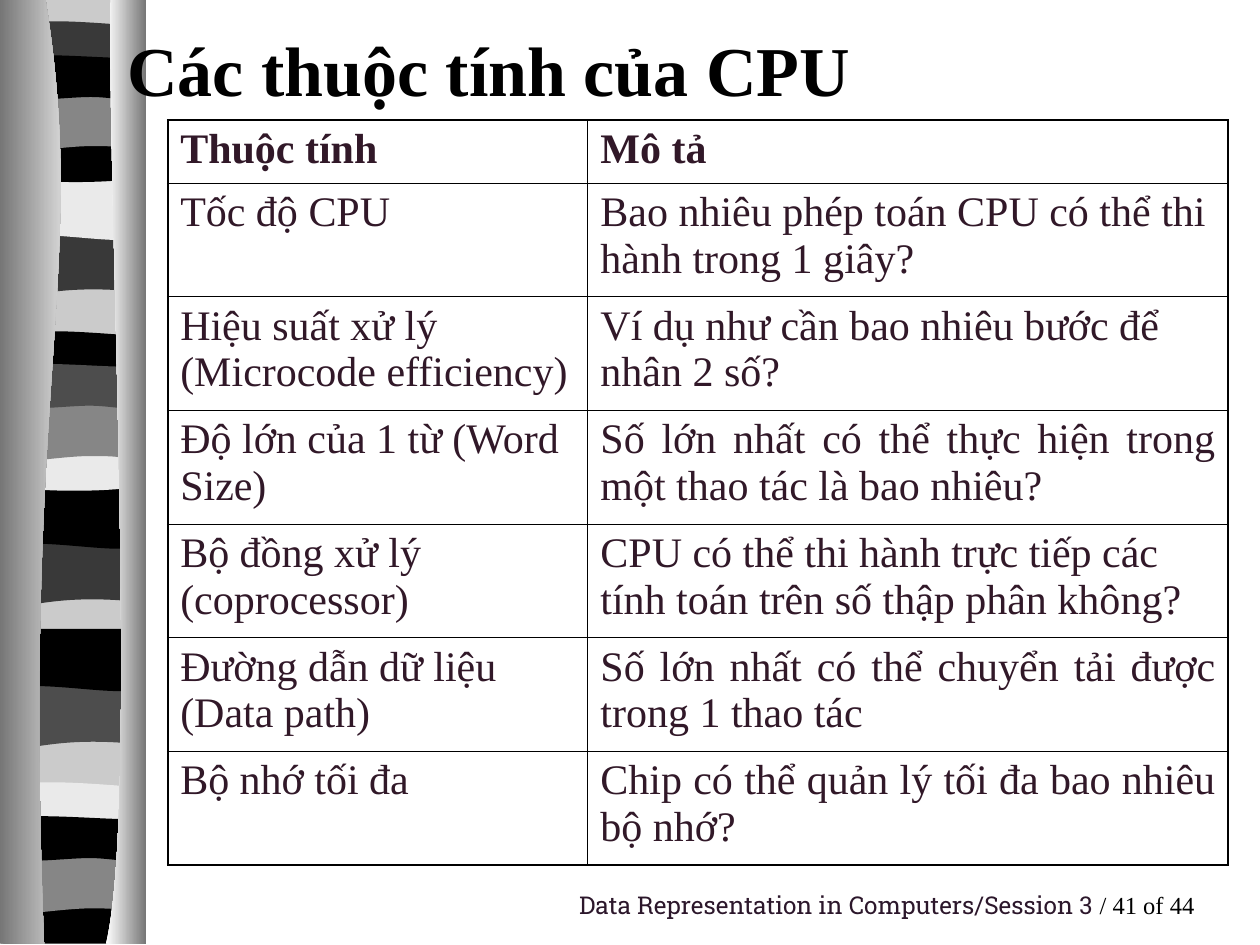
from lxml.etree import SubElement
from pptx import Presentation
from pptx.dml.color import RGBColor
from pptx.enum.text import MSO_ANCHOR as Anchor, PP_ALIGN as Align
from pptx.oxml.ns import qn
from pptx.util import Cm, Pt

SERIF = "Times New Roman"
SLAB = "Roboto Slab"
BLACK = "000000"
TABLE_INK = "311828"

BAND_OUTLINES = {
    "wave": [(108, 0), (108, 47), (33, 39, 18, 55, 0, 47), (0, 0)],
    "swell": [(108, 0), (108, 47), (90, 55, 33, 41, 0, 47), (0, 0)],
    "ribbon": [(108, 5), (108, 29), (90, 33, 18, 33, 0, 29), (0, 5),
               (6, 0, 23, 1, 41, 1), (59, 1, 94, 4, 108, 5)],
    "bowl": [(108, 0), (108, 32), (90, 38, 18, 38, 0, 32), (0, 0),
             (66, 5, 85, 0, 108, 0)],
    "arch": [(108, 0), (108, 47), (91, 42, 84, 42, 66, 42),
             (48, 42, 16, 47, 0, 47), (0, 0)],
    "drape": [(108, 5), (108, 36), (101, 41, 84, 36, 66, 36),
              (48, 36, 11, 41, 0, 36), (0, 5), (15, 0, 73, 5, 91, 5),
              (109, 5, 104, 5, 108, 5)],
    "base": [(108, 0), (108, 37), (0, 37), (0, 0), (66, 5, 85, 0, 108, 0)],
    "column": [(108, 0), (108, 748), (0, 748), (0, 0)],
}

BANDS = [
    ("column", 6, -1, "CBCBCB"),
    ("wave", 6, 185, "393939"), ("swell", 6, 141, "EAEAEA"),
    ("ribbon", 6, 16, "393939"), ("bowl", 6, 108, BLACK),
    ("arch", 6, 74, "868686"), ("drape", 6, 41, BLACK),
    ("wave", 5, 431, "393939"), ("swell", 5, 386, BLACK),
    ("ribbon", 5, 262, BLACK), ("bowl", 5, 353, "EAEAEA"),
    ("arch", 5, 320, "868686"), ("drape", 5, 286, "4D4D4D"),
    ("wave", 6, 544, "4D4D4D"), ("swell", 6, 499, BLACK),
    ("ribbon", 5, 620, "EAEAEA"), ("base", 5, 712, BLACK),
    ("arch", 5, 679, "868686"), ("drape", 5, 645, BLACK),
]

LEFT_POST = [(36, 0), (71, 217, 17, 297, 35, 750), (0, 750), (0, 0)]
RIGHT_POST = [(88, 0), (84, 126, 111, 647, 84, 750), (116, 750), (116, 0)]

ROWS = [
    ("Thuộc tính", "Mô tả"),
    ("Tốc độ CPU", "Bao nhiêu phép toán CPU có thể thi hành trong 1 giây?"),
    ("Hiệu suất xử lý (Microcode efficiency)",
     "Ví dụ như cần bao nhiêu bước để nhân 2 số?"),
    ("Độ lớn của 1 từ (Word Size)",
     "Số lớn nhất có thể thực hiện trong một thao tác là bao nhiêu?"),
    ("Bộ đồng xử lý (coprocessor)",
     "CPU có thể thi hành trực tiếp các tính toán trên số thập phân không?"),
    ("Đường dẫn dữ liệu (Data path)",
     "Số lớn nhất có thể chuyển tải được trong 1 thao tác"),
    ("Bộ nhớ tối đa", "Chip có thể quản lý tối đa bao nhiêu bộ nhớ?"),
]
JUSTIFIED = {(0, 0), (0, 1), (3, 1), (5, 1), (6, 1)}


def color(value):
    """Turn a hex string into a colour."""
    return RGBColor.from_string(value)


def grid(count):
    """Turn hundredths of an inch into a length."""
    return Cm(count * 0.0254)


def bend_curves(shape, segments):
    """Join the three points of each curved segment into one cubic curve."""
    lines = iter(shape._element.findall(f".//{qn('a:lnTo')}"))
    for segment in segments:
        first = next(lines)
        if len(segment) == 6:
            curve = first.makeelement(qn("a:cubicBezTo"))
            first.addprevious(curve)
            for line in (first, next(lines), next(lines)):
                curve.append(line[0])
                line.getparent().remove(line)


def add_outline(slide, outline, left, top):
    """Add a closed shape without a line from corners and curves."""
    places = [(grid(left + segment[i]), grid(top + segment[i + 1]))
              for segment in outline for i in range(0, len(segment), 2)]
    builder = slide.shapes.build_freeform(*places[0])
    builder.add_line_segments(places[1:], close=True)
    shape = builder.convert_to_shape()
    bend_curves(shape, outline[1:])
    shape.shadow.inherit = False
    shape.line.fill.background()
    return shape


def add_band(slide, kind, left, top, fill):
    """Add one plain band of the column."""
    shape = add_outline(slide, BAND_OUTLINES[kind], left, top)
    shape.fill.solid()
    shape.fill.fore_color.rgb = color(fill)


def add_post(slide, outline, start, end):
    """Add a post shaded from left to right."""
    fill = add_outline(slide, outline, 0, -1).fill
    fill.gradient()
    fill.gradient_angle = 0
    for stop, value in zip(fill.gradient_stops, (start, end)):
        stop.color.rgb = color(value)


def add_run(paragraph, text, font, size, ink, bold=False):
    """Add one formatted run."""
    run = paragraph.add_run()
    run.text = text
    run.font.name = font
    run.font.size = Pt(size)
    run.font.bold = bold
    run.font.color.rgb = color(ink)


def add_text_box(slide, left, top, width, height, anchor, align):
    """Add a wrapped text box and return its paragraph."""
    frame = slide.shapes.add_textbox(Cm(left), Cm(top), Cm(width), Cm(height)).text_frame
    frame.word_wrap = True
    frame.vertical_anchor = anchor
    paragraph = frame.paragraphs[0]
    paragraph.alignment = align
    return paragraph


def set_borders(cell, widths):
    """Draw black borders with the given widths by side."""
    properties = cell._tc.get_or_add_tcPr()
    for index, (side, width) in enumerate(widths.items()):
        line = SubElement(properties, qn(f"a:ln{side}"), w=str(Pt(width)))
        fill = SubElement(line, qn("a:solidFill"))
        SubElement(fill, qn("a:srgbClr"), val=BLACK)
        properties.insert(index, line)


def add_attribute_table(slide):
    """Add the table of CPU attributes."""
    frame = slide.shapes.add_table(len(ROWS), 2, Cm(3.38), Cm(2.42), Cm(21.38), Cm(15.01))
    table = frame.table
    table.first_row = table.horz_banding = False
    for column, width in zip(table.columns, (8.47, 12.91)):
        column.width = Cm(width)
    last = len(ROWS) - 1
    for row, texts in enumerate(ROWS):
        table.rows[row].height = Cm(2.29 if row else 1.27)
        for column, text in enumerate(texts):
            cell = table.cell(row, column)
            cell.fill.background()
            edges = {"L": column == 0, "R": column == 1, "T": row == 0, "B": row == last}
            set_borders(cell, {side: 1.08 if outer else 0.45
                               for side, outer in edges.items()})
            paragraph = cell.text_frame.paragraphs[0]
            paragraph.space_before = Pt(6)
            paragraph.alignment = Align.JUSTIFY if (row, column) in JUSTIFIED else Align.LEFT
            add_run(paragraph, text, SERIF, 24, TABLE_INK, bold=row == 0)


def main():
    """Build and save the slide."""
    presentation = Presentation()
    presentation.slide_width, presentation.slide_height = Cm(25.4), Cm(19.05)
    slide = presentation.slides.add_slide(presentation.slide_layouts[6])
    for band in BANDS:
        add_band(slide, *band)
    add_post(slide, LEFT_POST, "767676", "FFFFFF")
    add_post(slide, RIGHT_POST, "FFFFFF", "767676")
    footer = add_text_box(slide, 3.81, 17.81, 20.52, 1.45, Anchor.TOP, Align.RIGHT)
    add_run(footer, "Data Representation in Computers/Session 3", SLAB, 14, "2C172B")
    add_run(footer, " / 41 of 44", SERIF, 14, BLACK)
    title = add_text_box(slide, 2.32, -0.2, 21.59, 3.18, Anchor.MIDDLE, Align.LEFT)
    add_run(title, "Các thuộc tính của CPU", SERIF, 40, BLACK, bold=True)
    add_attribute_table(slide)
    presentation.save("out.pptx")


if __name__ == "__main__":
    main()
